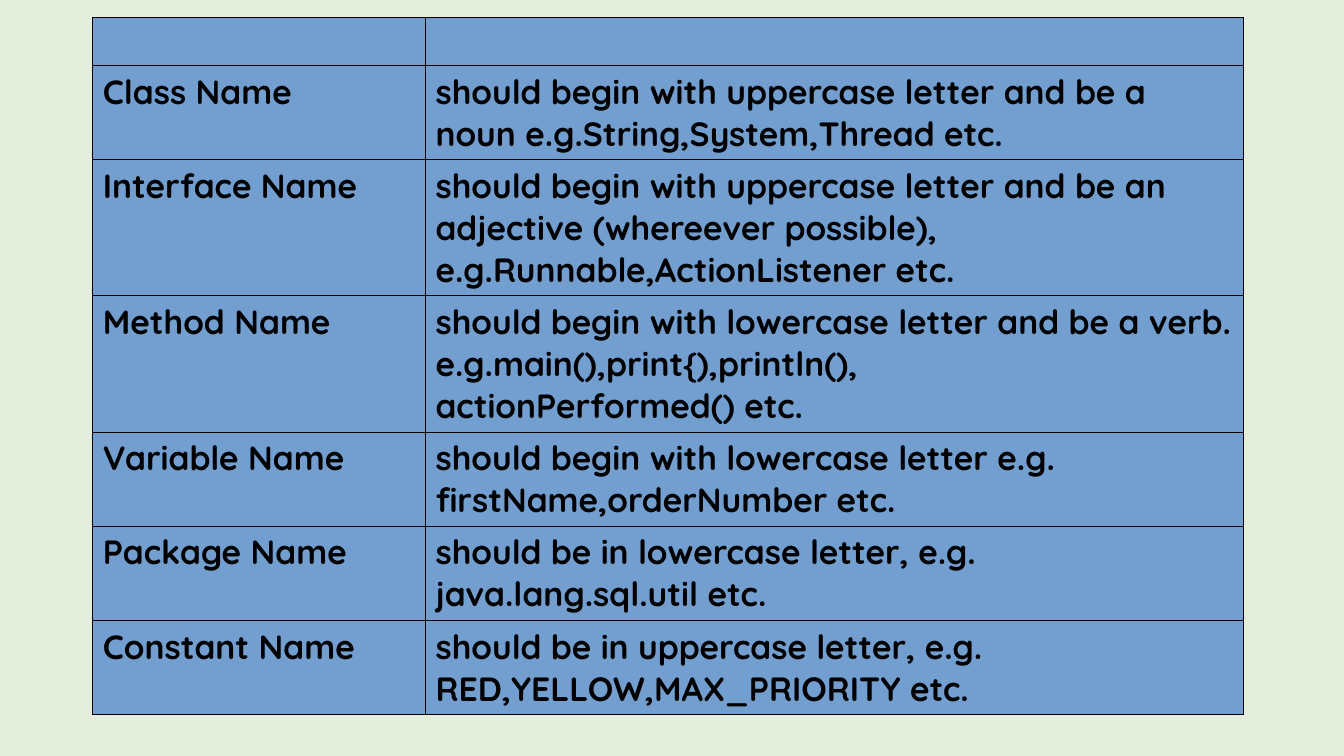
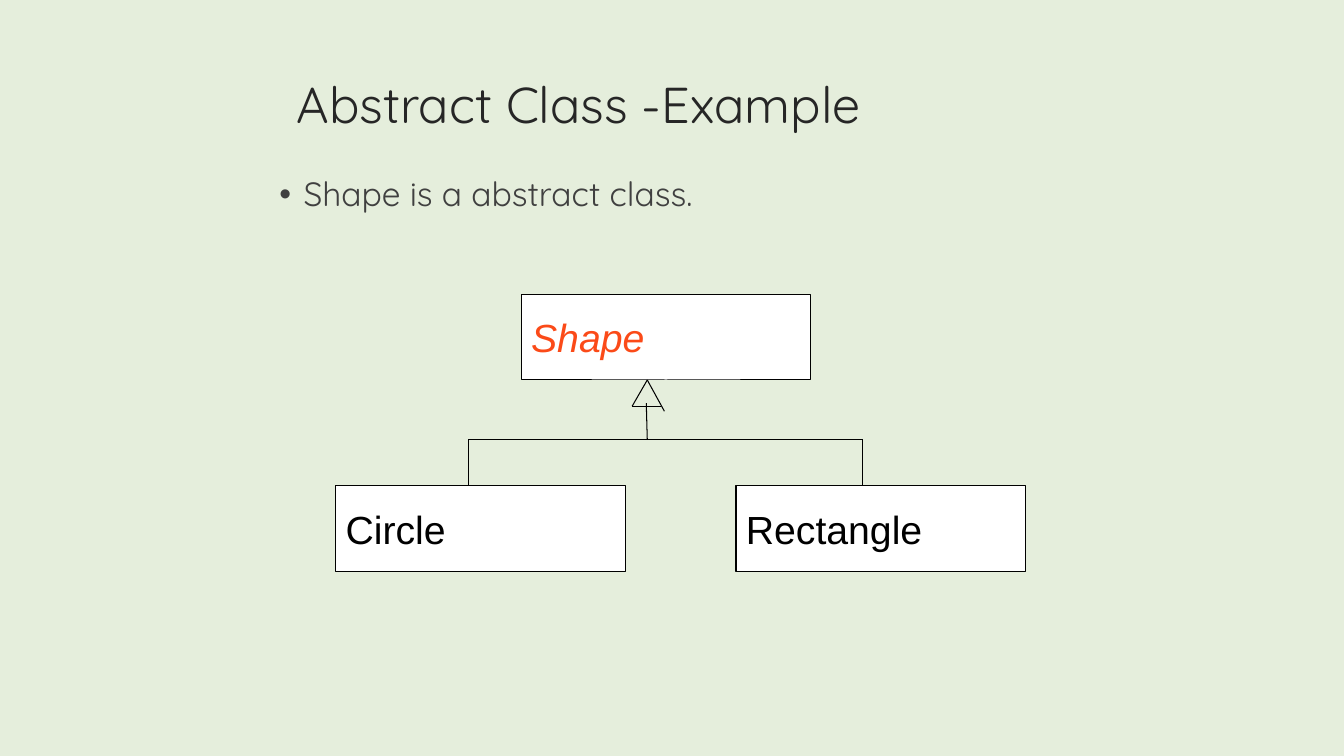
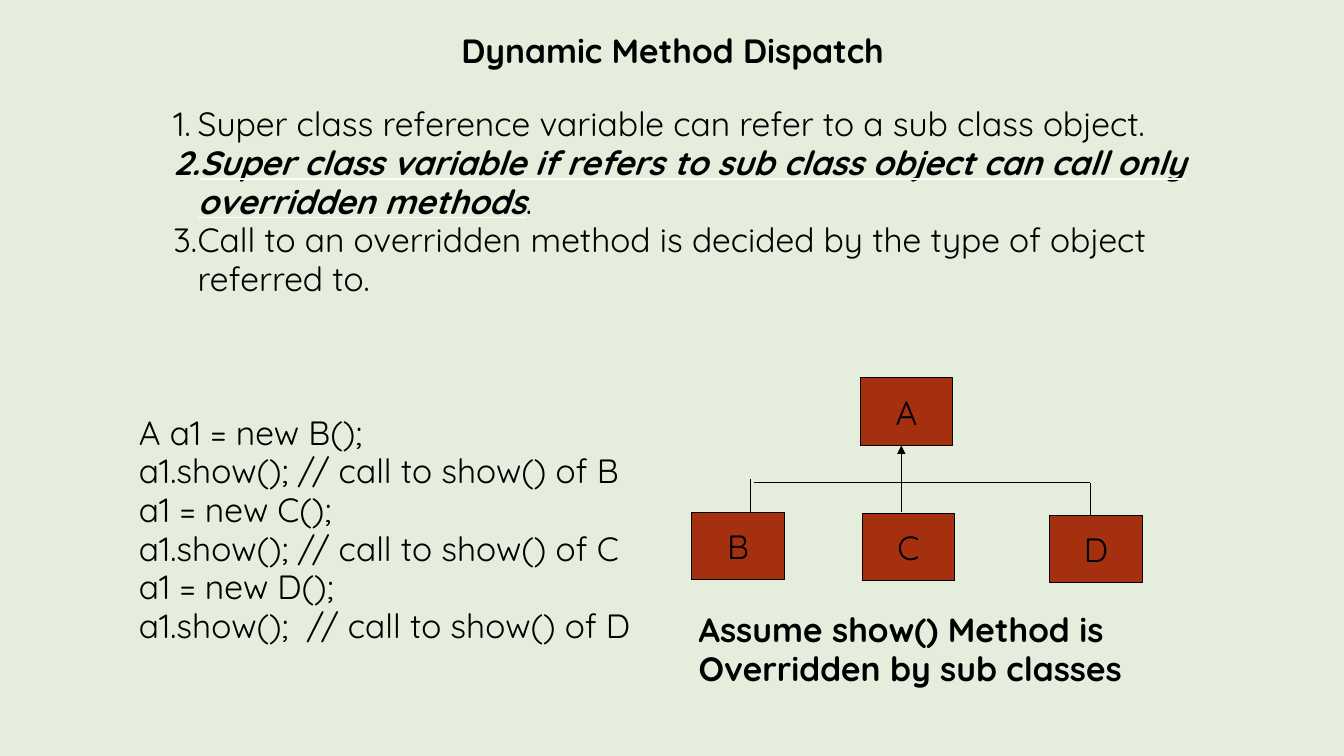
from dataclasses import dataclass
from typing import Optional

from lxml.etree import SubElement
from pptx import Presentation
from pptx.dml.color import RGBColor
from pptx.enum.shapes import MSO_CONNECTOR, MSO_SHAPE
from pptx.enum.text import MSO_ANCHOR, MSO_AUTO_SIZE, PP_ALIGN
from pptx.oxml.ns import qn
from pptx.util import Inches, Pt

COLORS = {
    "background": "E5EEDC",
    "cell": "729FCF",
    "black": "000000",
    "white": "FFFFFF",
    "title": "262626",
    "body": "404040",
    "abstract": "FB4A18",
    "class_box": "A53010",
}
FONT = "Quicksand"
LINE_WIDTH = Pt(0.75)
TIGHT = 0.96
BULLET_INDENT = Inches(0.24)
TITLE_AND_CONTENT, BLANK = 1, 6


@dataclass
class Span:
    text: str
    emphasis: bool = False


@dataclass
class ClassBox:
    name: str
    left: float
    top: float
    color: str = "black"
    italic: bool = False


@dataclass
class Link:
    x1: float
    y1: float
    x2: float
    y2: float
    arrow: bool = False


NAMING_RULES = [
    ("", ""),
    ("Class Name", "should begin with uppercase letter and be a noun e.g.String,System,Thread etc."),
    ("Interface Name", "should begin with uppercase letter and be an adjective (whereever possible), "
                       "e.g.Runnable,ActionListener etc."),
    ("Method Name", "should begin with lowercase letter and be a verb. "
                    "e.g.main(),print{),println(),\nactionPerformed() etc."),
    ("Variable Name", "should begin with lowercase letter e.g. firstName,orderNumber etc."),
    ("Package Name", "should be in lowercase letter, e.g. java.lang.sql.util etc."),
    ("Constant Name", "should be in uppercase letter, e.g. RED,YELLOW,MAX_PRIORITY etc."),
]
RULE_COLUMNS = [3.3, 8.11]
RULE_ROWS = [0.48, 0.93, 1.35, 1.35, 0.93, 0.93, 0.93]

SHAPE_CLASSES = [
    ClassBox("Shape", 5.17, 2.92, "abstract", italic=True),
    ClassBox("Circle", 3.33, 4.82),
    ClassBox("Rectangle", 7.3, 4.82),
]
SHAPE_LINKS = [
    Link(4.65, 4.82, 4.65, 4.36),
    Link(4.65, 4.36, 8.55, 4.36),
    Link(8.55, 4.36, 8.55, 4.82),
    Link(6.42, 4.36, 6.41, 4),
    Link(6.27, 4.03, 6.56, 4.03),
    Link(6.27, 4.03, 6.42, 3.77),
    Link(6.59, 4.08, 6.42, 3.77),
]

DISPATCH_POINTS = [
    "Super class reference variable can refer to a sub class object.",
    [Span("Super class variable if refers to sub class object can call only overridden methods", True),
     Span(".")],
    "Call to an overridden method is decided by the type of object referred to.",
]
DISPATCH_CODE = [
    "A a1 = new B();",
    "a1.show(); // call to show() of B",
    "a1 = new C();",
    "a1.show(); // call to show() of C",
    "a1 = new D();",
    "a1.show();  // call to show() of D",
]
DISPATCH_CLASSES = [
    ClassBox("A", 8.53, 3.75),
    ClassBox("B", 6.86, 5.08),
    ClassBox("C", 8.55, 5.09),
    ClassBox("D", 10.41, 5.11),
]
DISPATCH_LINKS = [
    Link(8.94, 4.75, 8.94, 4.42, arrow=True),
    Link(7.48, 4.79, 10.81, 4.79),
    Link(7.44, 4.75, 7.44, 5.08),
    Link(8.94, 4.75, 8.94, 5.08),
    Link(10.82, 4.79, 10.82, 5.12),
]


def rgb(color: str) -> RGBColor:
    return RGBColor.from_string(COLORS[color])


def add_solid_fill(parent, color: str) -> None:
    SubElement(SubElement(parent, qn("a:solidFill")), qn("a:srgbClr"), val=COLORS[color])


def underline_in_white(run) -> None:
    run.font.underline = True
    properties = run.font._element
    underline_fill = SubElement(properties, qn("a:uFill"))
    add_solid_fill(underline_fill, "white")
    properties.find(qn("a:latin")).addprevious(underline_fill)


def add_bullet(paragraph, marker: str, color: str) -> None:
    """Hang the paragraph from a character, or from a number when marker is "1."."""
    properties = paragraph._p.get_or_add_pPr()
    properties.set("marL", str(BULLET_INDENT))
    properties.set("indent", str(-BULLET_INDENT))
    SubElement(SubElement(properties, qn("a:buClr")), qn("a:srgbClr"), val=COLORS[color])
    if marker == "1.":
        SubElement(properties, qn("a:buFont"), typeface="+mj-lt")
        SubElement(properties, qn("a:buAutoNum"), type="arabicPeriod")
    else:
        SubElement(properties, qn("a:buFont"), typeface="Arial")
        SubElement(properties, qn("a:buChar"), char=marker)


def write_text(frame, lines: list, *, size: float = 24, color: str = "black", font: str = FONT,
               bold: bool = False, italic: bool = False, align=PP_ALIGN.LEFT,
               spacing: float = 1.0, bullet: Optional[str] = None) -> None:
    for index, line in enumerate(lines):
        paragraph = frame.add_paragraph() if index else frame.paragraphs[0]
        paragraph.alignment = align
        paragraph.line_spacing = spacing
        paragraph.space_before = paragraph.space_after = Pt(0)
        if bullet:
            add_bullet(paragraph, bullet, color)
        for span in [Span(line)] if isinstance(line, str) else line:
            run = paragraph.add_run()
            run.text = span.text
            run.font.name = font
            run.font.size = Pt(size)
            run.font.color.rgb = rgb(color)
            run.font.bold = bold or span.emphasis
            run.font.italic = italic or span.emphasis
            if span.emphasis:
                underline_in_white(run)


def set_frame(shape, anchor=MSO_ANCHOR.TOP):
    frame = shape.text_frame
    frame.word_wrap = True
    frame.auto_size = MSO_AUTO_SIZE.NONE
    frame.vertical_anchor = anchor
    return frame


def fill_placeholder(placeholder, left: float, top: float, width: float, height: float,
                     lines: list, **text_format) -> None:
    placeholder.left, placeholder.top = Inches(left), Inches(top)
    placeholder.width, placeholder.height = Inches(width), Inches(height)
    write_text(set_frame(placeholder), lines, **text_format)


def add_text(slide, left: float, top: float, width: float, height: float,
             lines: list, **text_format) -> None:
    box = slide.shapes.add_textbox(Inches(left), Inches(top), Inches(width), Inches(height))
    write_text(set_frame(box), lines, **text_format)


def add_class_box(slide, item: ClassBox, width: float, height: float, fill: str,
                  **text_format) -> None:
    box = slide.shapes.add_shape(MSO_SHAPE.RECTANGLE, Inches(item.left), Inches(item.top),
                                 Inches(width), Inches(height))
    box.shadow.inherit = False
    box.fill.solid()
    box.fill.fore_color.rgb = rgb(fill)
    box.line.color.rgb = rgb("black")
    box.line.width = LINE_WIDTH
    write_text(set_frame(box, MSO_ANCHOR.MIDDLE), [item.name], color=item.color,
               italic=item.italic, **text_format)


def add_link(slide, link: Link) -> None:
    connector = slide.shapes.add_connector(MSO_CONNECTOR.STRAIGHT, Inches(link.x1), Inches(link.y1),
                                           Inches(link.x2), Inches(link.y2))
    connector.line.color.rgb = rgb("black")
    connector.line.width = LINE_WIDTH
    properties = connector._element.spPr
    if link.arrow:
        SubElement(properties.find(qn("a:ln")), qn("a:tailEnd"), type="triangle")
    SubElement(properties, qn("a:effectLst"))


def style_cell(cell) -> None:
    properties = cell._tc.get_or_add_tcPr()
    for side in ("lnL", "lnR", "lnT", "lnB"):
        border = SubElement(properties, qn(f"a:{side}"), w=str(LINE_WIDTH))
        add_solid_fill(border, "black")
    cell.fill.solid()
    cell.fill.fore_color.rgb = rgb("cell")


def build_naming_slide(prs) -> None:
    slide = prs.slides.add_slide(prs.slide_layouts[BLANK])
    table = slide.shapes.add_table(len(RULE_ROWS), len(RULE_COLUMNS), Inches(0.92), Inches(0.17),
                                   Inches(sum(RULE_COLUMNS)), Inches(sum(RULE_ROWS))).table
    table.first_row = table.horz_banding = False
    for column, width in zip(table.columns, RULE_COLUMNS):
        column.width = Inches(width)
    for row, height, texts in zip(table.rows, RULE_ROWS, NAMING_RULES):
        row.height = Inches(height)
        for cell, text in zip(row.cells, texts):
            style_cell(cell)
            if text:
                write_text(cell.text_frame, text.split("\n"), bold=True)


def build_abstract_slide(prs) -> None:
    slide = prs.slides.add_slide(prs.slide_layouts[TITLE_AND_CONTENT])
    fill_placeholder(slide.shapes.title, 2.84, 0.68, 9.75, 1.4, ["Abstract Class -Example"],
                     size=36, color="title")
    fill_placeholder(slide.placeholders[1], 2.67, 1.67, 8.83, 4.87, ["Shape is a abstract class."],
                     color="body", bullet="•")
    for item in SHAPE_CLASSES:
        add_class_box(slide, item, 2.87, 0.85, "white", size=28, font="Arial")
    for link in SHAPE_LINKS:
        add_link(slide, link)


def build_dispatch_slide(prs) -> None:
    slide = prs.slides.add_slide(prs.slide_layouts[TITLE_AND_CONTENT])
    fill_placeholder(slide.shapes.title, 1.67, 0.25, 10, 0.5, ["Dynamic Method Dispatch"],
                     bold=True, align=PP_ALIGN.CENTER)
    fill_placeholder(slide.placeholders[1], 1.62, 1, 10.79, 2.83, DISPATCH_POINTS,
                     spacing=TIGHT, bullet="1.")
    for item in DISPATCH_CLASSES:
        add_class_box(slide, item, 0.92, 0.67, "class_box", align=PP_ALIGN.CENTER)
    for link in DISPATCH_LINKS:
        add_link(slide, link)
    add_text(slide, 1.28, 4.06, 5.56, 2.5, DISPATCH_CODE, spacing=TIGHT)
    add_text(slide, 6.83, 6.02, 4.42, 1.4, ["Assume show() Method is", "Overridden by sub classes"],
             bold=True, spacing=TIGHT)


def main() -> None:
    prs = Presentation()
    prs.slide_width, prs.slide_height = Inches(13.33), Inches(7.5)
    background = prs.slide_master.background.fill
    background.solid()
    background.fore_color.rgb = rgb("background")
    build_naming_slide(prs)
    build_abstract_slide(prs)
    build_dispatch_slide(prs)
    prs.save("out.pptx")


if __name__ == "__main__":
    main()
